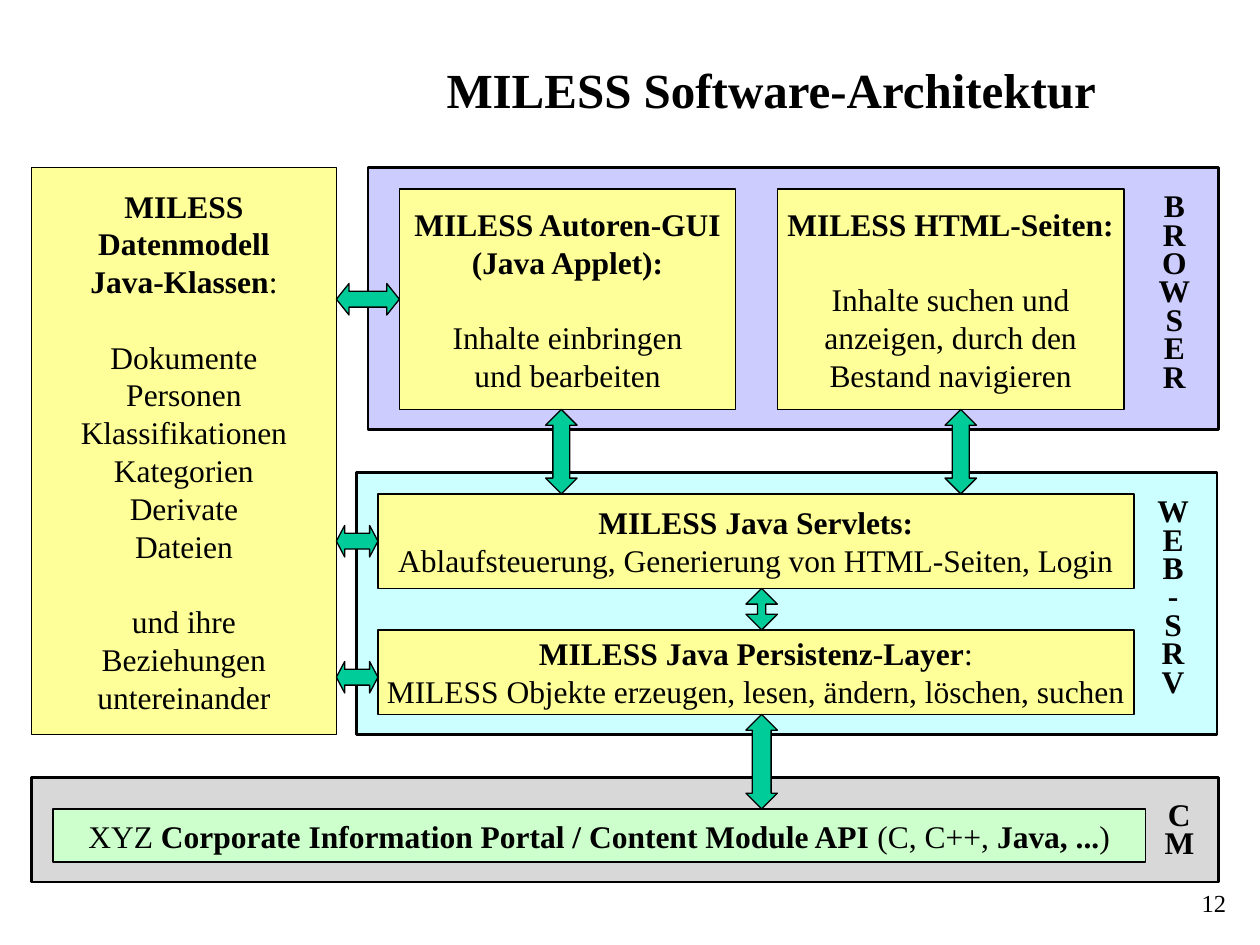
from lxml.etree import SubElement
from pptx import Presentation
from pptx.dml.color import RGBColor
from pptx.enum.shapes import MSO_SHAPE
from pptx.enum.text import MSO_ANCHOR, PP_ALIGN
from pptx.oxml.ns import qn
from pptx.util import Inches, Pt

COLORS = {
    "text": "000000", "line": "000000", "module": "FFFF99", "browser": "CCCCFF",
    "server": "CCFFFF", "store": "B2B2B2", "api": "CCFFCC", "arrow": "00CC99",
}
FONT = "Times New Roman"
LINE_GAP = Pt(21.5)
ARROW_WIDTH = 0.25


def color(name):
    return RGBColor.from_string(COLORS[name])


def write_line(para, line, size=18, align=PP_ALIGN.CENTER):
    """Write one line; text between asterisks is bold."""
    para.alignment = align
    for index, part in enumerate(line.split("*")):
        if part:
            span = para.add_run()
            span.text = part
            span.font.name = FONT
            span.font.size = Pt(size)
            span.font.bold = index % 2 == 1
            span.font.color.rgb = color("text")


def write_groups(frame, groups):
    """Write groups of lines, one blank line's height apart."""
    frame.word_wrap = False
    frame.vertical_anchor = MSO_ANCHOR.MIDDLE
    para = None
    for group in groups:
        for index, line in enumerate(group):
            first = para is None
            para = frame.paragraphs[0] if first else frame.add_paragraph()
            if index == 0 and not first:
                para.space_before = LINE_GAP
            write_line(para, line)


def add_block(page, kind, left, top, width, height, fill, weight=0.75):
    block = page.shapes.add_shape(
        kind, Inches(left), Inches(top), Inches(width), Inches(height))
    block.shadow.inherit = False
    block.fill.solid()
    block.fill.fore_color.rgb = color(fill)
    block.line.color.rgb = color("line")
    block.line.width = Pt(weight)
    return block


def add_module(page, left, top, width, height, groups, fill="module"):
    module = add_block(page, MSO_SHAPE.FLOWCHART_PROCESS, left, top, width, height, fill)
    write_groups(module.text_frame, groups)


def add_panel(page, left, top, width, height, fill):
    return add_block(page, MSO_SHAPE.RECTANGLE, left, top, width, height, fill, 1.5)


def add_stacked_label(page, center, top, letters):
    width = 0.45
    box = page.shapes.add_textbox(Inches(center - width / 2), Inches(top),
                                  Inches(width), Inches(0.1 + 0.226 * len(letters)))
    frame = box.text_frame
    frame.word_wrap = False
    for index, letter in enumerate(letters):
        para = frame.add_paragraph() if index else frame.paragraphs[0]
        para.line_spacing = 0.75
        write_line(para, f"*{letter}*")


def add_text(page, left, top, width, height, line, size, align):
    box = page.shapes.add_textbox(
        Inches(left), Inches(top), Inches(width), Inches(height))
    box.text_frame.word_wrap = True
    write_line(box.text_frame.paragraphs[0], line, size, align)


def add_arrow(page, left, top, length, vertical):
    if vertical:
        kind, width, height = MSO_SHAPE.UP_DOWN_ARROW, ARROW_WIDTH, length
    else:
        kind, width, height = MSO_SHAPE.LEFT_RIGHT_ARROW, length, ARROW_WIDTH
    arrow = add_block(page, kind, left, top, width, height, "arrow")
    arrow.adjustments[0] = 0.5
    arrow.adjustments[1] = length / 5 / ARROW_WIDTH


def add_store(page, left, top, width, height):
    panel = add_panel(page, left, top, width, height, "store")
    tone = panel.fill._xPr.find(qn("a:solidFill")).find(qn("a:srgbClr"))
    SubElement(tone, qn("a:alpha")).set("val", "50000")
    add_module(page, left + 0.17, top + 0.25, width - 0.75, 0.42, [[
        "XYZ *Corporate Information Portal / Content Module API* (C, C++, *Java, ...*)"]], "api")
    add_stacked_label(page, left + width - 0.31, top + 0.16, "CM")


def add_server(page, left, top, width, height):
    add_panel(page, left, top, width, height, "server")
    add_module(page, left + 0.17, top + 0.17, 6, 0.75, [[
        "*MILESS Java Servlets:*",
        "Ablaufsteuerung, Generierung von HTML-Seiten, Login"]])
    add_module(page, left + 0.17, top + 1.25, 6, 0.67, [[
        "*MILESS Java Persistenz-Layer*:",
        "MILESS Objekte erzeugen, lesen, ändern, löschen, suchen"]])
    add_stacked_label(page, left + width - 0.35, top + 0.17, "WEB-SRV")


def add_browser(page, left, top, width, height):
    add_panel(page, left, top, width, height, "browser")
    add_module(page, left + 0.25, top + 0.17, 2.67, 1.75, [
        ["*MILESS Autoren-GUI*", "*(Java Applet):*"],
        ["Inhalte einbringen", "und bearbeiten"]])
    add_module(page, left + 3.25, top + 0.17, 2.75, 1.75, [
        ["*MILESS HTML-Seiten:*"],
        ["Inhalte suchen und", "anzeigen, durch den", "Bestand navigieren"]])
    add_stacked_label(page, left + width - 0.35, top + 0.17, "BROWSER")


def add_data_model(page, left, top, width, height):
    add_module(page, left, top, width, height, [
        ["*MILESS*", "*Datenmodell*", "*Java-Klassen*:"],
        ["Dokumente", "Personen", "Klassifikationen", "Kategorien", "Derivate", "Dateien"],
        ["und ihre", "Beziehungen", "untereinander"]])


def add_links(page):
    for top, length in ((2.25, 0.5), (4.17, 0.33), (5.25, 0.33)):
        add_arrow(page, 2.67, top, length, vertical=False)
    for left, top, length in ((4.33, 3.25, 0.67), (7.5, 3.25, 0.67),
                              (5.92, 4.67, 0.33), (5.92, 5.67, 0.75)):
        add_arrow(page, left, top, length, vertical=True)


def main():
    deck = Presentation()
    deck.slide_width, deck.slide_height = Inches(10), Inches(7.5)
    page = deck.slides.add_slide(deck.slide_layouts[6])
    add_text(page, 2.25, 0.42, 7.74, 0.57, "*MILESS Software-Architektur*", 28, PP_ALIGN.CENTER)
    add_store(page, 0.25, 6.17, 9.42, 0.83)
    add_server(page, 2.83, 3.75, 6.83, 2.08)
    add_browser(page, 2.92, 1.33, 6.75, 2.08)
    add_data_model(page, 0.25, 1.33, 2.42, 4.5)
    add_links(page)
    add_text(page, 7.75, 7, 2.08, 0.5, "12", 14, PP_ALIGN.RIGHT)
    deck.save("out.pptx")


if __name__ == "__main__":
    main()
